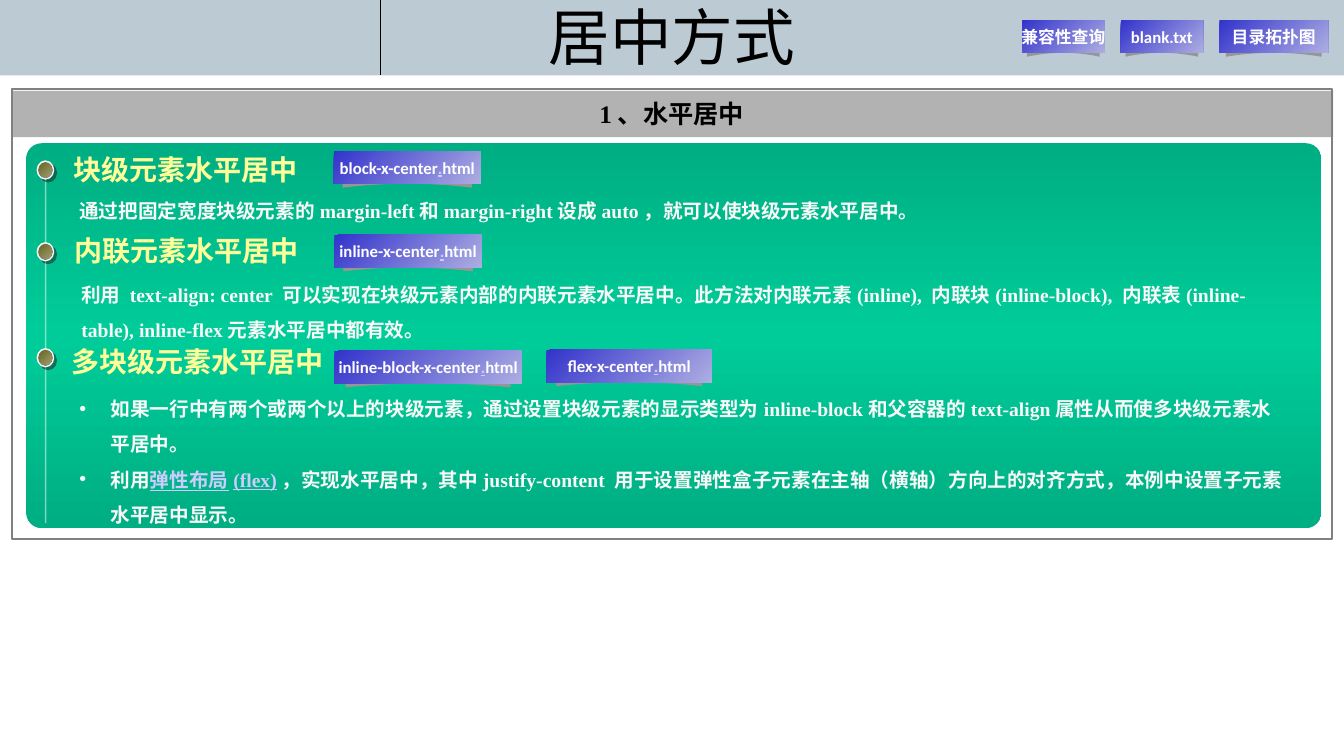
from copy import deepcopy

from lxml import etree
from pptx import Presentation
from pptx.dml.color import RGBColor
from pptx.enum import shapes, text
from pptx.oxml import parse_xml
from pptx.oxml.ns import nsdecls, qn
from pptx.util import Cm, Pt

BLACK = RGBColor(0x00, 0x00, 0x00)
WHITE = RGBColor(0xFF, 0xFF, 0xFF)
BAND_BLUE = RGBColor(0xBC, 0xCA, 0xD4)
HEADER_GRAY = RGBColor(0xB2, 0xB2, 0xB2)
FRAME_GRAY = RGBColor(0x80, 0x80, 0x80)
CURL_GRAY = RGBColor(0x96, 0x96, 0x96)
GREEN_DARK = RGBColor(0x00, 0xAE, 0x83)
GREEN_LIGHT = RGBColor(0x00, 0xCC, 0x99)
RIM_LIGHT = RGBColor(0xC0, 0xC6, 0xD3)
RIM_DARK = RGBColor(0x22, 0x38, 0x64)
OLIVE_DARK = RGBColor(0x68, 0x66, 0x20)
OLIVE_LIGHT = RGBColor(0x9F, 0x9E, 0x71)
BUTTON_DARK = RGBColor(0x33, 0x33, 0xCC)
BUTTON_LIGHT = RGBColor(0xAD, 0xAD, 0xE2)
HEADING_YELLOW = RGBColor(0xFF, 0xFF, 0x99)
BODY_WHITE = RGBColor(0xF8, 0xF8, 0xF8)
LINE_WHITE = RGBColor(0xFE, 0xFF, 0xFF)
LINK_LILAC = RGBColor(0xCC, 0xCC, 0xFF)

CJK_FONT = "Noto Sans CJK SC"
BODY_FONT = "Times New Roman"
BUTTON_FONT = "Calibri"


def fill_gradient(shape, angle, *colors):
    """Spread the colours evenly, the angle running clockwise."""
    shape.fill.gradient()
    stop_list = shape._element.spPr.find(qn("a:gradFill")).find(qn("a:gsLst"))
    for _ in colors[2:]:
        stop_list.append(deepcopy(stop_list[0]))
    for index, (stop, color) in enumerate(zip(shape.fill.gradient_stops, colors)):
        stop.color.rgb = color
        stop.position = index / (len(colors) - 1)
    shape.fill.gradient_angle = 360 - angle


def add_runs(paragraph, pieces, font_name, size, color, bold=True):
    """Add one run for each piece; every second piece is styled as a link."""
    for index, piece in enumerate(pieces):
        linked = index % 2 == 1
        run = paragraph.add_run()
        run.text = piece
        run.font.size = Pt(size)
        run.font.bold = bold
        run.font.underline = linked
        run.font.color.rgb = LINK_LILAC if linked else color
        run.font.name = font_name
        east_asian = etree.SubElement(run.font._element, qn("a:ea"))
        east_asian.set("typeface", CJK_FONT)


presentation = Presentation()
presentation.slide_width = Cm(33.87)
presentation.slide_height = Cm(19.05)
slide = presentation.slides.add_slide(presentation.slide_layouts[6])

# Title band, section header, green panel and frame
rectangle, rounded = shapes.MSO_SHAPE.RECTANGLE, shapes.MSO_SHAPE.ROUNDED_RECTANGLE
for kind, box, color in (
    (rectangle, (0, 0, 33.87, 1.9), BAND_BLUE),
    (rectangle, (0.28, 2.29, 33.32, 1.17), HEADER_GRAY),
    (rounded, (0.66, 3.61, 32.64, 9.7), GREEN_DARK),
    (rectangle, (0.3, 2.24, 33.27, 11.35), None),
):
    shape = slide.shapes.add_shape(kind, *map(Cm, box))
    shape.shadow.inherit = False
    if color is None:
        shape.fill.background()
        shape.line.color.rgb = FRAME_GRAY
        shape.line.width = Pt(1.5)
        continue
    shape.line.fill.background()
    if kind == rounded:
        shape.adjustments[0] = 0.04
        fill_gradient(shape, 90, GREEN_DARK, GREEN_LIGHT, GREEN_DARK)
    else:
        shape.fill.solid()
        shape.fill.fore_color.rgb = color

# Band divider and half-transparent timeline
for x, top, bottom, color, width, alpha in (
    (9.6, 0, 1.9, BLACK, 0.75, 100),
    (1.15, 4.11, 13.18, LINE_WHITE, 1, 50),
):
    line = slide.shapes.add_connector(
        shapes.MSO_CONNECTOR.STRAIGHT, Cm(x), Cm(top), Cm(x), Cm(bottom))
    line.line.color.rgb = color
    line.line.width = Pt(width)
    properties = line._element.spPr
    etree.SubElement(properties, qn("a:effectLst"))
    line_color = next(properties.iter(qn("a:srgbClr")))
    etree.SubElement(line_color, qn("a:alpha")).set("val", str(alpha * 1000))

# Timeline markers
for top in (4.06, 6.12, 8.79):
    marker = slide.shapes.add_group_shape()
    rim = marker.shapes.add_shape(
        shapes.MSO_SHAPE.OVAL, Cm(0.94), Cm(top), Cm(0.41), Cm(0.45))
    core = marker.shapes.add_shape(
        shapes.MSO_SHAPE.OVAL, Cm(0.98), Cm(top + 0.04), Cm(0.33), Cm(0.37))
    fill_gradient(rim, 45, RIM_LIGHT, RIM_DARK)
    fill_gradient(core, 45, OLIVE_DARK, OLIVE_LIGHT)
    rim.line.color.rgb = BODY_WHITE
    rim.line.width = Pt(1)
    core.line.fill.background()
    core.shadow.inherit = False
    rim._element.spPr.append(parse_xml(
        f'<a:effectLst {nsdecls("a")}><a:outerShdw dist="{Pt(2.8)}" dir="2700000">'
        '<a:srgbClr val="1C1C1C"><a:alpha val="50000"/></a:srgbClr>'
        '</a:outerShdw></a:effectLst>'))

# Title and header text
for box, words, font_name, size, bold in (
    ((0, 0.03, 33.87, 1.75), "居中方式", CJK_FONT, 44, False),
    ((0.3, 2.36, 33.25, 1.02), "1、水平居中", BODY_FONT, 18, True),
):
    frame = slide.shapes.add_textbox(*map(Cm, box)).text_frame
    frame.word_wrap = True
    frame.vertical_anchor = text.MSO_ANCHOR.MIDDLE
    frame.paragraphs[0].alignment = text.PP_ALIGN.CENTER
    add_runs(frame.paragraphs[0], [words], font_name, size, BLACK, bold)

# Section headings
for left, top, words in (
    (1.6, 3.73, "块级元素水平居中"),
    (1.63, 5.77, "内联元素水平居中"),
    (1.55, 8.56, "多块级元素水平居中"),
):
    frame = slide.shapes.add_textbox(Cm(left), Cm(top), Cm(8.1), Cm(1.12)).text_frame
    frame.word_wrap = True
    add_runs(frame.paragraphs[0], [words], BODY_FONT, 20, HEADING_YELLOW)

# Section explanations, bulleted where there are several points
for box, points in (
    ((1.75, 4.6, 22.28, 1.04), [
        ["通过把固定宽度块级元素的margin-left和margin-right设成auto，就可以使块级元素水平居中。"]]),
    ((1.8, 6.71, 30.91, 2.06), [
        ["利用 text-align: center 可以实现在块级元素内部的内联元素水平居中。此方法对内联元素"
         "(inline), 内联块(inline-block), 内联表(inline-table), inline-flex元素水平居中都有效。"]]),
    ((1.75, 9.58, 30.91, 3.84), [
        ["如果一行中有两个或两个以上的块级元素，通过设置块级元素的显示类型为inline-block"
         "和父容器的text-align属性从而使多块级元素水平居中。"],
        ["利用", "弹性布局(flex)",
         "，实现水平居中，其中justify-content 用于设置弹性盒子元素在主轴（横轴）方向上的对齐方式，"
         "本例中设置子元素水平居中显示。"]]),
):
    frame = slide.shapes.add_textbox(*map(Cm, box)).text_frame
    frame.word_wrap = True
    for index, pieces in enumerate(points):
        paragraph = frame.add_paragraph() if index else frame.paragraphs[0]
        if len(points) > 1:
            properties = paragraph._p.get_or_add_pPr()
            properties.set("marL", str(Cm(0.79)))
            properties.set("indent", str(-Cm(0.79)))
            bullet_color = etree.SubElement(properties, qn("a:buClr"))
            etree.SubElement(bullet_color, qn("a:srgbClr")).set("val", str(BODY_WHITE))
            etree.SubElement(properties, qn("a:buFont")).set("typeface", "Arial")
            etree.SubElement(properties, qn("a:buChar")).set("char", "•")
        paragraph.line_spacing = 1.5
        add_runs(paragraph, pieces, BODY_FONT, 14, BODY_WHITE)

# Buttons, each with a curled gray shadow underneath
for left, top, width, pieces in (
    (8.41, 3.81, 3.71, ["block-x-center", ".", "html"]),
    (8.43, 5.92, 3.71, ["inline-x-center", ".", "html"]),
    (8.43, 8.84, 4.72, ["inline-block-x-center", ".", "html"]),
    (13.77, 8.81, 4.17, ["flex-x-center", ".", "html"]),
    (25.76, 0.51, 2.08, ["兼容性查询"]),
    (28.24, 0.51, 2.08, ["blank.txt"]),
    (30.73, 0.51, 2.74, ["目录拓扑图"]),
):
    group = slide.shapes.add_group_shape()
    middle, half = left + width / 2, width * 0.44
    steps = [step / 5 for step in range(5, -6, -1)]
    arc = [(Cm(middle + half * t), Cm(top + 0.82 + 0.1 * t * t)) for t in steps]
    crease = [(Cm(middle - half), Cm(top + 0.63)), (Cm(middle), Cm(top + 0.53)),
              (Cm(middle + half), Cm(top + 0.63))]
    builder = group.shapes.build_freeform(*arc[0])
    builder.add_line_segments(arc[1:] + crease, close=True)
    curl = builder.convert_to_shape()
    curl.fill.solid()
    curl.fill.fore_color.rgb = CURL_GRAY
    button = group.shapes.add_shape(rectangle, Cm(left), Cm(top), Cm(width), Cm(0.82))
    fill_gradient(button, 45, BUTTON_DARK, BUTTON_LIGHT)
    for shape in (curl, button):
        shape.line.fill.background()
        shape.shadow.inherit = False
    button.text_frame.word_wrap = False
    button.text_frame.vertical_anchor = text.MSO_ANCHOR.MIDDLE
    button.text_frame.paragraphs[0].alignment = text.PP_ALIGN.CENTER
    add_runs(button.text_frame.paragraphs[0], pieces, BUTTON_FONT, 12, WHITE)

presentation.save("out.pptx")
